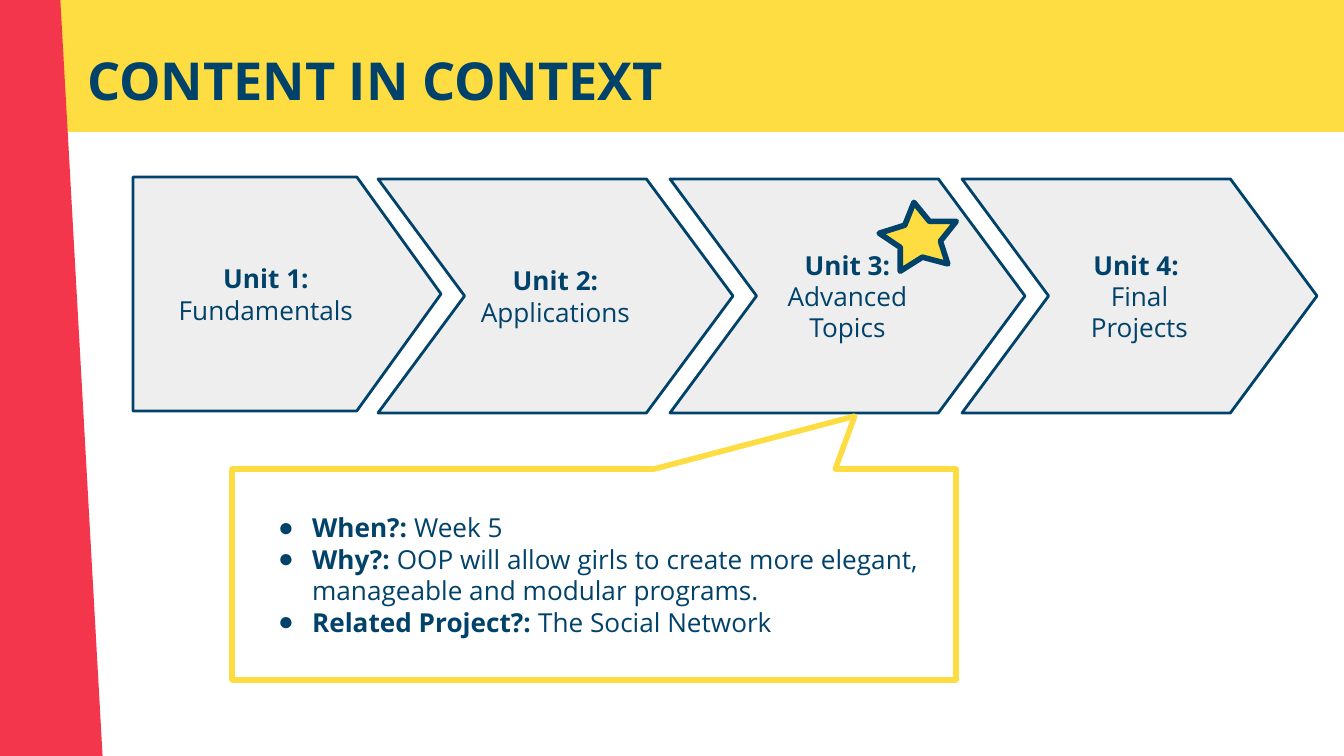
import pptx
import pptx.dml.color
import pptx.enum.shapes
import pptx.enum.text
import pptx.util
from lxml import etree

PX = 914400 / 134.4
FONT = "Open Sans"
COLOURS = {"navy": "01426A", "yellow": "FDDD41", "red": "F4364C", "grey": "EEEEEE"}
SHAPES = pptx.enum.shapes.MSO_SHAPE
ALIGN = pptx.enum.text.PP_ALIGN
ANCHOR = pptx.enum.text.MSO_ANCHOR
INSET = 13
MARGIN = 67
HANGING = 34

UNITS = [
    [[("Unit 1: ", True), ("Fundamentals", False)]],
    [[("Unit 2: ", True), ("Applications", False)]],
    [[("Unit 3: ", True), ("Advanced Topics", False)]],
    [[("Unit 4: ", True)], [("Final Projects", False)]],
]
DETAILS = [
    [("When?: ", True), ("Week 5", False)],
    [("Why?: ", True),
     ("OOP will allow girls to create more elegant, manageable and modular programs.", False)],
    [("Related Project?: ", True), ("The Social Network", False)],
]


def px(length):
    return pptx.util.Emu(round(length * PX))


def colour(name):
    return pptx.dml.color.RGBColor.from_string(COLOURS[name])


def place(shape, box):
    shape.left, shape.top, shape.width, shape.height = map(px, box)


def add_shape(slide, kind, box, fill=None, line=None, weight=1.5, adjustments=(), rotation=0):
    shape = slide.shapes.add_shape(kind, *map(px, box))
    shape.shadow.inherit = False
    shape.rotation = rotation
    for index, value in enumerate(adjustments):
        shape.adjustments[index] = value
    if fill:
        shape.fill.solid()
        shape.fill.fore_color.rgb = colour(fill)
    else:
        shape.fill.background()
    if line:
        shape.line.color.rgb = colour(line)
        shape.line.width = pptx.util.Pt(weight)
    else:
        shape.line.fill.background()
    return shape


def add_bullet(para):
    properties = para._p.get_or_add_pPr()
    properties.set("marL", str(px(MARGIN)))
    properties.set("indent", str(-px(HANGING)))
    namespace = pptx.oxml.ns.qn
    bullet_colour = etree.SubElement(properties, namespace("a:buClr"))
    etree.SubElement(bullet_colour, namespace("a:srgbClr"), val=COLOURS["navy"])
    etree.SubElement(properties, namespace("a:buChar"), char="●")


def write(shape, paragraphs, size=14, align=ALIGN.LEFT, anchor=ANCHOR.MIDDLE, bullets=False):
    """Fill a shape with paragraphs, each a list of (text, bold) spans."""
    frame = shape.text_frame
    frame.word_wrap = True
    frame.auto_size = pptx.enum.text.MSO_AUTO_SIZE.NONE
    frame.vertical_anchor = anchor
    frame.margin_left = frame.margin_right = px(INSET)
    frame.margin_top = frame.margin_bottom = px(INSET)
    for index, spans in enumerate(paragraphs):
        para = frame.add_paragraph() if index else frame.paragraphs[0]
        if bullets:
            add_bullet(para)
        para.alignment = align
        para.space_before = pptx.util.Pt(0)
        para.font.name = FONT
        para.font.size = pptx.util.Pt(size)
        para.font.color.rgb = colour("navy")
        for text, bold in spans:
            span = para.add_run()
            span.text = text
            span.font.bold = bold


def add_header(slide):
    add_shape(slide, SHAPES.RECTANGLE, (-113, -9, 1478, 141), "yellow")
    stripe = add_shape(slide, SHAPES.RECTANGLE, (-689, 94, 1372, 145), "red", rotation=86.8)
    title = slide.shapes.title
    place(title, (74, 35, 1253, 85))
    write(title, [[("CONTENT IN CONTEXT", True)]], 28, anchor=ANCHOR.TOP)
    stripe.element.addnext(title.element)  # bring the title in front of the bands


def add_units(slide):
    for index, paragraphs in enumerate(UNITS):
        if index == 0:
            kind, box, point = SHAPES.PENTAGON, (133, 177, 308, 234), 0.36
        else:
            kind, box, point = SHAPES.CHEVRON, (86 + 292 * index, 179, 355, 234), 0.37
        unit = add_shape(slide, kind, box, "grey", "navy", adjustments=[point])
        write(unit, paragraphs, align=ALIGN.CENTER)


def add_details(slide):
    box = (232, 469, 724, 211)
    callout = add_shape(slide, SHAPES.RECTANGULAR_CALLOUT, box, line="yellow", weight=3,
                        adjustments=[0.36, -0.75])
    body = slide.placeholders[1]
    place(body, box)
    write(body, DETAILS, bullets=True)
    callout.element.addnext(body.element)


def main():
    deck = pptx.Presentation()
    deck.slide_width, deck.slide_height = px(1344), px(756)
    slide = deck.slides.add_slide(deck.slide_layouts[1])
    add_header(slide)
    add_units(slide)
    add_details(slide)
    add_shape(slide, SHAPES.STAR_5_POINT, (880, 202, 78, 66), "yellow", "navy", 3,
              adjustments=[0.26], rotation=351.2)
    deck.save("out.pptx")


if __name__ == "__main__":
    main()
